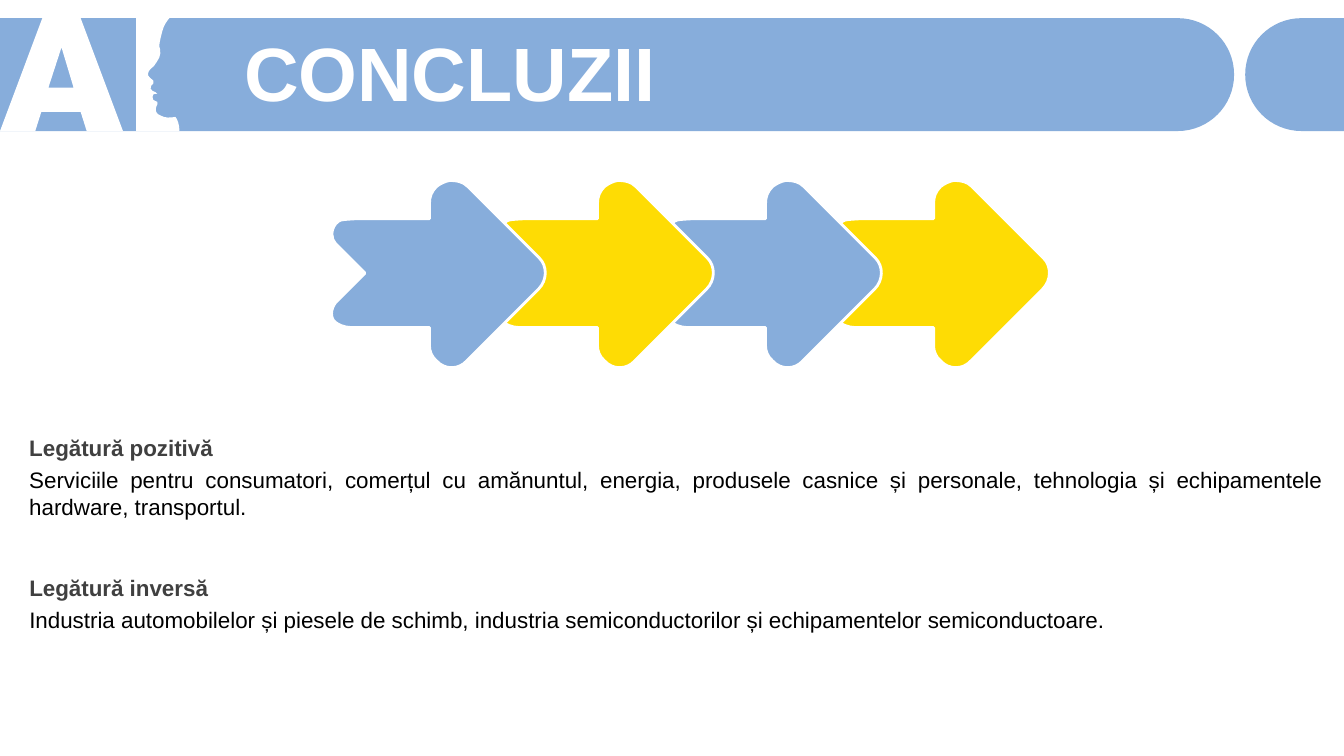
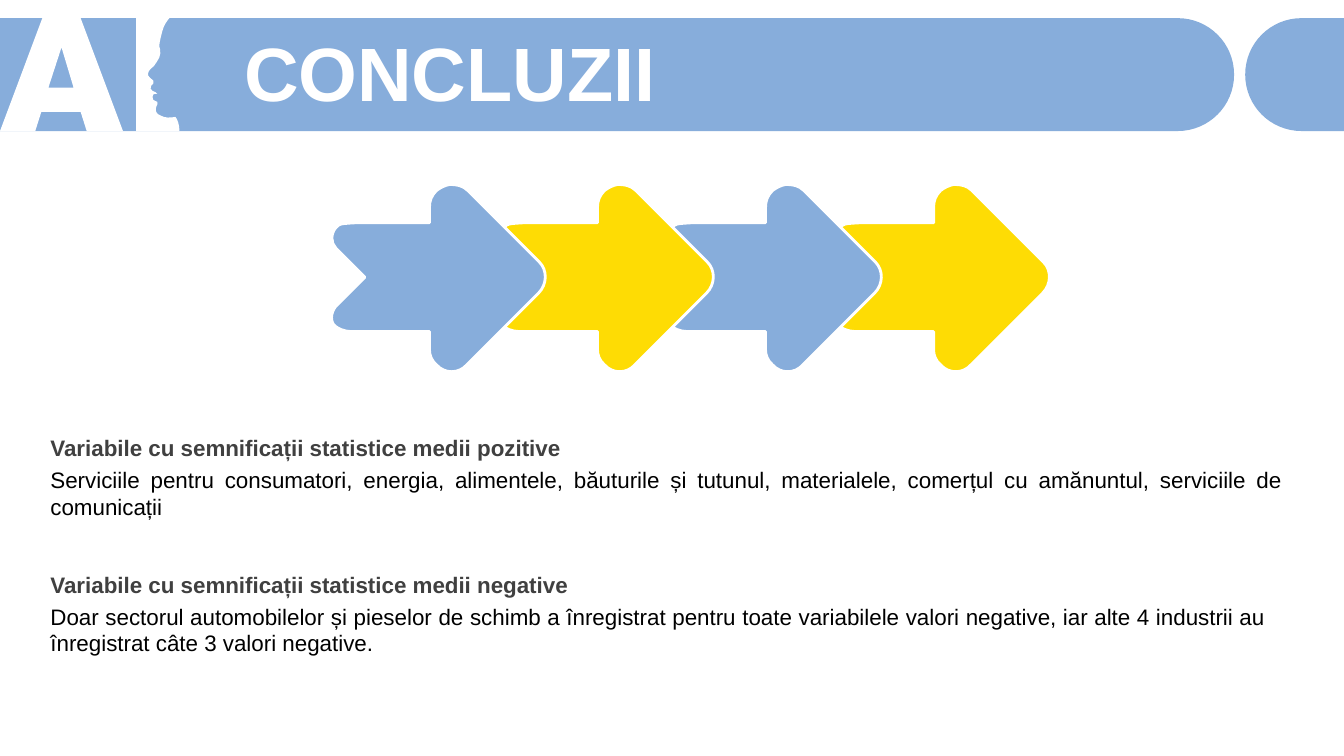
from pptx import Presentation
from pptx.dml.color import RGBColor
from pptx.enum.text import MSO_ANCHOR, MSO_AUTO_SIZE, PP_ALIGN
from pptx.oxml.ns import qn
from pptx.oxml.xmlchemy import OxmlElement
from pptx.util import Inches, Pt

MIDDLE, TOP = MSO_ANCHOR.MIDDLE, MSO_ANCHOR.TOP
LEFT, JUSTIFY = PP_ALIGN.LEFT, PP_ALIGN.JUSTIFY
NO_FIT = MSO_AUTO_SIZE.NONE

BLUE = RGBColor(0x87, 0xAD, 0xDB)
YELLOW = RGBColor(0xFE, 0xDC, 0x04)
WHITE = RGBColor(0xFF, 0xFF, 0xFF)
GRAY = RGBColor(0x40, 0x40, 0x40)
BLACK = RGBColor(0, 0, 0)

TITLE_FONT = {"name": "Arial", "size": Pt(54), "bold": True}
HEADING_FONT = {"name": "Arial", "size": Pt(16), "bold": True}
BODY_FONT = {"name": "Arial", "size": Pt(16), "bold": False}

SLIDES = [
    {
        "title": "CONCLUZII",
        "arrow_drop": 0,
        "left": 0.29,
        "sections": [
            (4.26, 12.93, 0.64, "Legătură pozitivă",
             "Serviciile pentru consumatori, comerțul cu amănuntul, energia, "
             "produsele casnice și personale, tehnologia și echipamentele "
             "hardware, transportul."),
            (5.64, 12.38, 0.37, "Legătură inversă",
             "Industria automobilelor și piesele de schimb, industria "
             "semiconductorilor și echipamentelor semiconductoare."),
        ],
    },
    {
        "title": "CONCLUZII",
        "arrow_drop": 0.04,
        "left": 0.5,
        "sections": [
            (4.26, 12.32, 0.64, "Variabile cu semnificații statistice medii pozitive",
             "Serviciile pentru consumatori, energia, alimentele, băuturile și "
             "tutunul, materialele, comerțul cu amănuntul, serviciile de comunicații"),
            (5.61, 12.15, 0.64, "Variabile cu semnificații statistice medii negative",
             "Doar sectorul automobilelor și pieselor de schimb a înregistrat "
             "pentru toate variabilele valori negative, iar alte 4 industrii au "
             "înregistrat câte 3 valori negative."),
        ],
    },
]

BAND = [[(0, 0.18), (11.68, 0.18), (11.99, 0.18, 12.24, 0.43, 12.24, 0.74),
         (12.24, 1.05, 11.99, 1.3, 11.68, 1.3), (0, 1.3)]]
BAND_END = [[(12.91, 0.18), (13.33, 0.18), (13.33, 1.3), (12.91, 1.3),
             (12.6, 1.3, 12.35, 1.05, 12.35, 0.74),
             (12.35, 0.43, 12.6, 0.18, 12.91, 0.18)]]
LETTER_A = [(0.42, 0.18), (0.8, 0.18), (1.22, 1.3), (0.86, 1.3),
            (0.8, 1.11), (0.41, 1.11), (0.35, 1.3), (0, 1.3)]
LETTER_HOLE = [(0.61, 0.47), (0.48, 0.87), (0.73, 0.87)]
PROFILE = [
    (1.35, 0.18), (1.68, 0.18), (1.66, 0.2, 1.62, 0.26, 1.61, 0.31),
    (1.58, 0.42, 1.58, 0.45, 1.58, 0.46), (1.59, 0.48, 1.59, 0.51, 1.59, 0.53),
    (1.58, 0.57), (1.57, 0.59, 1.53, 0.66, 1.51, 0.67),
    (1.48, 0.69, 1.46, 0.73, 1.47, 0.75), (1.48, 0.77, 1.5, 0.78, 1.51, 0.79),
    (1.52, 0.79, 1.53, 0.81, 1.52, 0.83), (1.52, 0.84, 1.5, 0.84, 1.5, 0.85),
    (1.49, 0.87, 1.49, 0.89, 1.51, 0.9), (1.53, 0.91, 1.56, 0.92, 1.56, 0.93),
    (1.56, 0.93, 1.52, 0.93, 1.52, 0.94), (1.51, 0.95, 1.51, 0.97, 1.52, 0.99),
    (1.52, 1, 1.55, 1, 1.56, 1.01), (1.57, 1.03, 1.56, 1.03, 1.55, 1.06),
    (1.54, 1.09, 1.54, 1.13, 1.6, 1.15), (1.64, 1.17, 1.68, 1.17, 1.74, 1.16),
    (1.76, 1.18, 1.78, 1.24, 1.78, 1.3), (1.35, 1.3),
]
ARROW = [[
    (4.46, 1.79), (4.53, 1.79, 4.59, 1.8, 4.64, 1.85), (5.35, 2.56),
    (5.43, 2.64, 5.43, 2.78, 5.34, 2.87), (4.63, 3.58),
    (4.55, 3.67, 4.41, 3.67, 4.33, 3.58), (4.28, 3.54, 4.26, 3.48, 4.26, 3.43),
    (4.26, 3.25), (3.53, 3.25), (3.46, 3.25, 3.4, 3.25, 3.33, 3.2),
    (3.27, 3.16, 3.28, 3.06, 3.33, 3), (3.62, 2.71), (3.33, 2.42),
    (3.28, 2.37, 3.28, 2.28, 3.33, 2.22), (3.37, 2.18, 3.36, 2.18, 3.53, 2.17),
    (4.26, 2.17), (4.26, 2.02), (4.26, 1.95, 4.28, 1.9, 4.33, 1.85),
    (4.37, 1.82, 4.41, 1.8, 4.46, 1.79),
]]
HEADER = [(BAND, BLUE), ([LETTER_A, LETTER_HOLE, PROFILE], WHITE), (BAND_END, BLUE)]
ARROW_COLORS = [BLUE, YELLOW, BLUE, YELLOW]
ARROW_PITCH = 5 / 3
BODY_OFFSET = 0.32


def bend_curves(shape, contours):
    outline = shape.element.find(".//" + qn("a:custGeom"))
    lines = iter(outline.findall(".//" + qn("a:lnTo")))
    for contour in contours:
        for segment in contour[1:]:
            parts = [next(lines) for _ in range(len(segment) // 2)]
            if len(parts) == 1:
                continue
            curve = OxmlElement("a:cubicBezTo")
            parts[0].addprevious(curve)
            for part in parts:
                curve.append(part[0])
                part.getparent().remove(part)


def draw_outline(shapes, contours, color, shift_x=0, shift_y=0, border=None):
    builder = None
    for contour in contours:
        points = [(Inches(segment[i] + shift_x), Inches(segment[i + 1] + shift_y))
                  for segment in contour for i in range(0, len(segment), 2)]
        if builder is None:
            builder = shapes.build_freeform(*points[0])
        else:
            builder.move_to(*points[0])
        builder.add_line_segments(points[1:], close=True)
    shape = builder.convert_to_shape()
    bend_curves(shape, contours)
    shape.shadow.inherit = False
    shape.fill.solid()
    shape.fill.fore_color.rgb = color
    if border is None:
        shape.line.fill.background()
    else:
        shape.line.color.rgb = border
        shape.line.width = Pt(2)
    return shape


def place(shape, left, top, width, height):
    box = {"left": left, "top": top, "width": width, "height": height}
    for name, value in box.items():
        setattr(shape, name, Inches(value))


def write(shape, text, font, color, alignment, anchor):
    frame = shape.text_frame
    frame.word_wrap = True
    frame.auto_size = NO_FIT
    frame.vertical_anchor = anchor
    paragraph = frame.paragraphs[0]
    paragraph.alignment = alignment
    run = paragraph.add_run()
    run.text = text
    for name, value in font.items():
        setattr(run.font, name, value)
    run.font.color.rgb = color
    return paragraph


def add_text(slide, box, text, font, color, anchor):
    shape = slide.shapes.add_textbox(*map(Inches, box))
    shape.text_frame.margin_left = 0
    write(shape, text, font, color, JUSTIFY, anchor)


def add_header(slide, layout):
    for contours, color in HEADER:
        shape = draw_outline(slide.shapes, contours, color)
        layout.shapes.element.append(shape.element)


def add_title(slide, text):
    title = slide.shapes.title
    place(title, 2.32, 0.37, 10.69, 0.79)
    paragraph = write(title, text, TITLE_FONT, WHITE, LEFT, MIDDLE)
    paragraph.line_spacing = 0.9
    paragraph.space_before = Pt(10)


def add_arrows(slide, drop):
    group = slide.shapes.add_group_shape()
    for index, color in reversed(list(enumerate(ARROW_COLORS))):
        draw_outline(group.shapes, ARROW, color, index * ARROW_PITCH, drop, WHITE)


def main():
    presentation = Presentation()
    presentation.slide_width = Inches(13.33)
    presentation.slide_height = Inches(7.5)
    layout = presentation.slide_layouts.get_by_name("Title Only")
    for number, content in enumerate(SLIDES):
        slide = presentation.slides.add_slide(layout)
        if number == 0:
            add_header(slide, layout)
        add_title(slide, content["title"])
        add_arrows(slide, content["arrow_drop"])
        left = content["left"]
        for top, width, height, heading, body in content["sections"]:
            add_text(slide, (left, top, width, 0.37), heading, HEADING_FONT, GRAY, MIDDLE)
            add_text(slide, (left, top + BODY_OFFSET, width, height), body,
                     BODY_FONT, BLACK, TOP)
    presentation.save("out.pptx")


if __name__ == "__main__":
    main()
